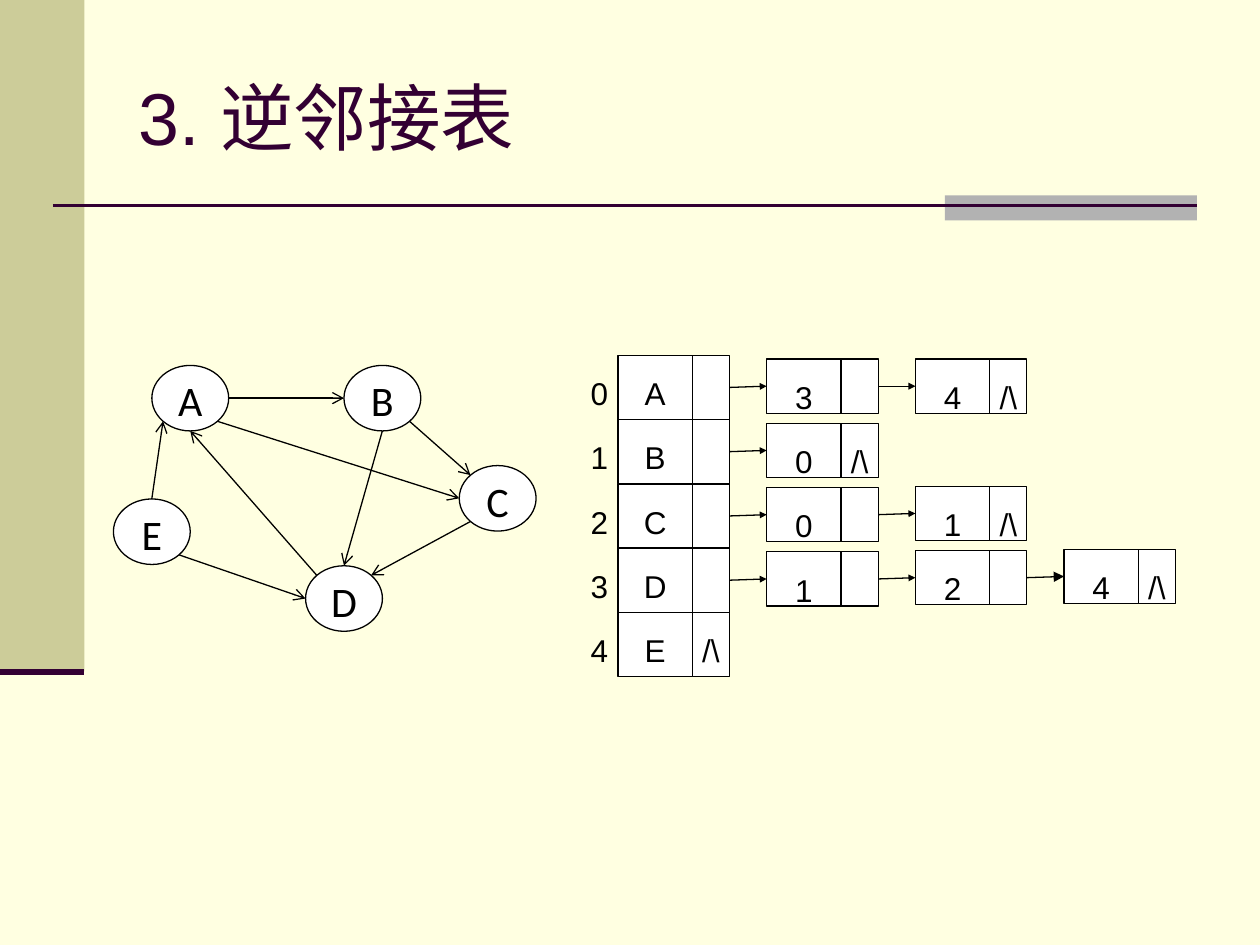
from dataclasses import dataclass
from math import cos, radians, sin

from lxml import etree
from pptx import Presentation
from pptx.dml.color import RGBColor
from pptx.enum.shapes import MSO_CONNECTOR, MSO_SHAPE
from pptx.enum.text import MSO_ANCHOR, PP_ALIGN
from pptx.oxml.ns import qn
from pptx.util import Inches, Pt

RECT, OVAL = MSO_SHAPE.RECTANGLE, MSO_SHAPE.OVAL
STRAIGHT = MSO_CONNECTOR.STRAIGHT
TOP, MIDDLE = MSO_ANCHOR.TOP, MSO_ANCHOR.MIDDLE
LEFT, CENTER = PP_ALIGN.LEFT, PP_ALIGN.CENTER
LEFT_SIDE, RIGHT_SIDE = 1, 3

WIDTH, HEIGHT = 10, 7.5
PAPER, OLIVE, GREY, PLUM = "FFFFE1", "CCCC99", "B2B2B2", "330033"
BLACK, WHITE = "000000", "FFFFFF"

GRAPH_LEFT, GRAPH_TOP = 0.9, 2.9
GRAPH_COLUMN, GRAPH_ROW = 0.305, 0.265
OVAL_WIDTH, OVAL_HEIGHT = 0.61, 0.52

LIST_LEFT, LIST_TOP = 4.61, 2.82
LIST_COLUMN, LIST_ROW = 0.295, 0.51
NODE_INSET, NODE_HEIGHT = 0.03, 0.43
FIRST_NODE_COLUMN, NODE_PITCH = 5, 4
NULL_MARK = "/\\"


@dataclass(frozen=True)
class Vertex:
    name: str
    column: int
    row: int

    def rim(self, angle: int) -> tuple[float, float]:
        x = GRAPH_LEFT + self.column * GRAPH_COLUMN + OVAL_WIDTH / 2
        y = GRAPH_TOP + self.row * GRAPH_ROW + OVAL_HEIGHT / 2
        return (x + OVAL_WIDTH / 2 * cos(radians(angle)),
                y + OVAL_HEIGHT / 2 * sin(radians(angle)))


@dataclass(frozen=True)
class Edge:
    source: str
    source_angle: int
    target: str
    target_angle: int


@dataclass(frozen=True)
class InverseList:
    vertex: str
    sources: tuple[str, ...]
    rise: float = 0


VERTICES = (
    Vertex("A", 1, 0),
    Vertex("B", 6, 0),
    Vertex("C", 9, 3),
    Vertex("D", 5, 6),
    Vertex("E", 0, 4),
)
EDGES = (
    Edge("A", 0, "B", 180),
    Edge("A", 45, "C", 180),
    Edge("B", 45, "C", 225),
    Edge("B", 90, "D", 270),
    Edge("C", 135, "D", 315),
    Edge("D", 225, "A", 90),
    Edge("E", 45, "D", 180),
    Edge("E", 270, "A", 135),
)
LISTS = (
    InverseList("A", ("3", "4")),
    InverseList("B", ("0",)),
    InverseList("C", ("0", "1"), 0.01),
    InverseList("D", ("1", "2", "4"), 0.01),
    InverseList("E", ()),
)

deck = Presentation()
deck.slide_width, deck.slide_height = Inches(WIDTH), Inches(HEIGHT)
slide = deck.slides.add_slide(deck.slide_layouts[6])


def paint(color_format, color: str) -> None:
    color_format.rgb = RGBColor.from_string(color)


def write(holder, text: str, *, size: int = 18, font: str = "Arial", color: str = BLACK,
          align=CENTER, anchor=TOP, spacing: float = 1.5,
          margins: tuple[float, float] = (0, 0)) -> None:
    frame = holder.text_frame
    frame.word_wrap = True
    frame.vertical_anchor = anchor
    frame.margin_left = frame.margin_right = Inches(margins[0])
    frame.margin_top = frame.margin_bottom = Inches(margins[1])
    paragraph = frame.paragraphs[0]
    paragraph.alignment = align
    paragraph.line_spacing = spacing
    run = paragraph.add_run()
    run.text = text
    run.font.size = Pt(size)
    run.font.name = font
    paint(run.font.color, color)


def add_block(kind, x: float, y: float, width: float, height: float,
              fill: str = WHITE, outline: str | None = BLACK):
    block = slide.shapes.add_shape(kind, Inches(x), Inches(y), Inches(width), Inches(height))
    block.shadow.inherit = False
    block.fill.solid()
    paint(block.fill.fore_color, fill)
    if outline:
        paint(block.line.color, outline)
        block.line.width = Pt(0.75)
    else:
        block.line.fill.background()
    return block


def add_text(x: float, y: float, width: float, height: float, text: str, **style) -> None:
    holder = slide.shapes.add_textbox(Inches(x), Inches(y), Inches(width), Inches(height))
    write(holder, text, **style)


def add_line(start: tuple[float, float], end: tuple[float, float], color: str = BLACK,
             weight: float = 0.75, head: str | None = None, head_size: str = "med"):
    line = slide.shapes.add_connector(STRAIGHT, *(Inches(value) for value in start + end))
    paint(line.line.color, color)
    line.line.width = Pt(weight)
    if head:
        etree.SubElement(line.line._get_or_add_ln(), qn("a:tailEnd"),
                         type=head, w=head_size, len=head_size)
    etree.SubElement(line._element.spPr, qn("a:effectLst"))
    return line


def add_cell(column: int, span: int, y: float, height: float, text: str):
    cell = add_block(RECT, LIST_LEFT + column * LIST_COLUMN, y, span * LIST_COLUMN, height)
    if text:
        write(cell, text)
    return cell


def add_record(column: int, y: float, height: float, label: str, is_last: bool):
    data = add_cell(column, 2, y, height, label)
    pointer = add_cell(column + 2, 1, y, height, NULL_MARK if is_last else "")
    return data, pointer


def draw_frame() -> None:
    paper = slide.background.fill
    paper.solid()
    paint(paper.fore_color, PAPER)
    add_block(RECT, 0, 0, 0.67, 5.33, OLIVE, None)
    add_block(RECT, 0.75 * WIDTH, 1.55, 0.2 * WIDTH, 0.2, GREY, None)
    add_line((0.42, 1.63), (0.95 * WIDTH, 1.63), PLUM, 1.5)
    add_line((0, 5.33), (0.67, 5.33), PLUM, 3.5)
    add_text(0.1 * WIDTH, 0.3, 0.85 * WIDTH, 1.25, "3. 逆邻接表", size=42, color=PLUM,
             align=LEFT, anchor=MIDDLE, spacing=1, margins=(0.1, 0.05))


def draw_graph() -> None:
    for vertex in VERTICES:
        oval = add_block(OVAL, GRAPH_LEFT + vertex.column * GRAPH_COLUMN,
                         GRAPH_TOP + vertex.row * GRAPH_ROW, OVAL_WIDTH, OVAL_HEIGHT)
        write(oval, vertex.name, size=24, font="Calibri", spacing=1)
    by_name = {vertex.name: vertex for vertex in VERTICES}
    for edge in EDGES:
        add_line(by_name[edge.source].rim(edge.source_angle),
                 by_name[edge.target].rim(edge.target_angle), head="arrow")


def draw_list(index: int, inverse: InverseList) -> None:
    y = LIST_TOP + index * LIST_ROW
    add_text(LIST_LEFT, y, LIST_COLUMN, LIST_ROW, str(index))
    _, pointer = add_record(1, y, LIST_ROW, inverse.vertex, not inverse.sources)
    for position, source in enumerate(inverse.sources):
        data, next_pointer = add_record(
            FIRST_NODE_COLUMN + position * NODE_PITCH,
            y + NODE_INSET - position * inverse.rise,
            NODE_HEIGHT, source, position == len(inverse.sources) - 1)
        link = add_line((0, 0), (0, 0), head="triangle",
                        head_size="med" if position == 2 else "sm")
        link.begin_connect(pointer, RIGHT_SIDE)
        link.end_connect(data, LEFT_SIDE)
        pointer = next_pointer


draw_frame()
draw_graph()
for list_index, inverse_list in enumerate(LISTS):
    draw_list(list_index, inverse_list)
deck.save("out.pptx")
